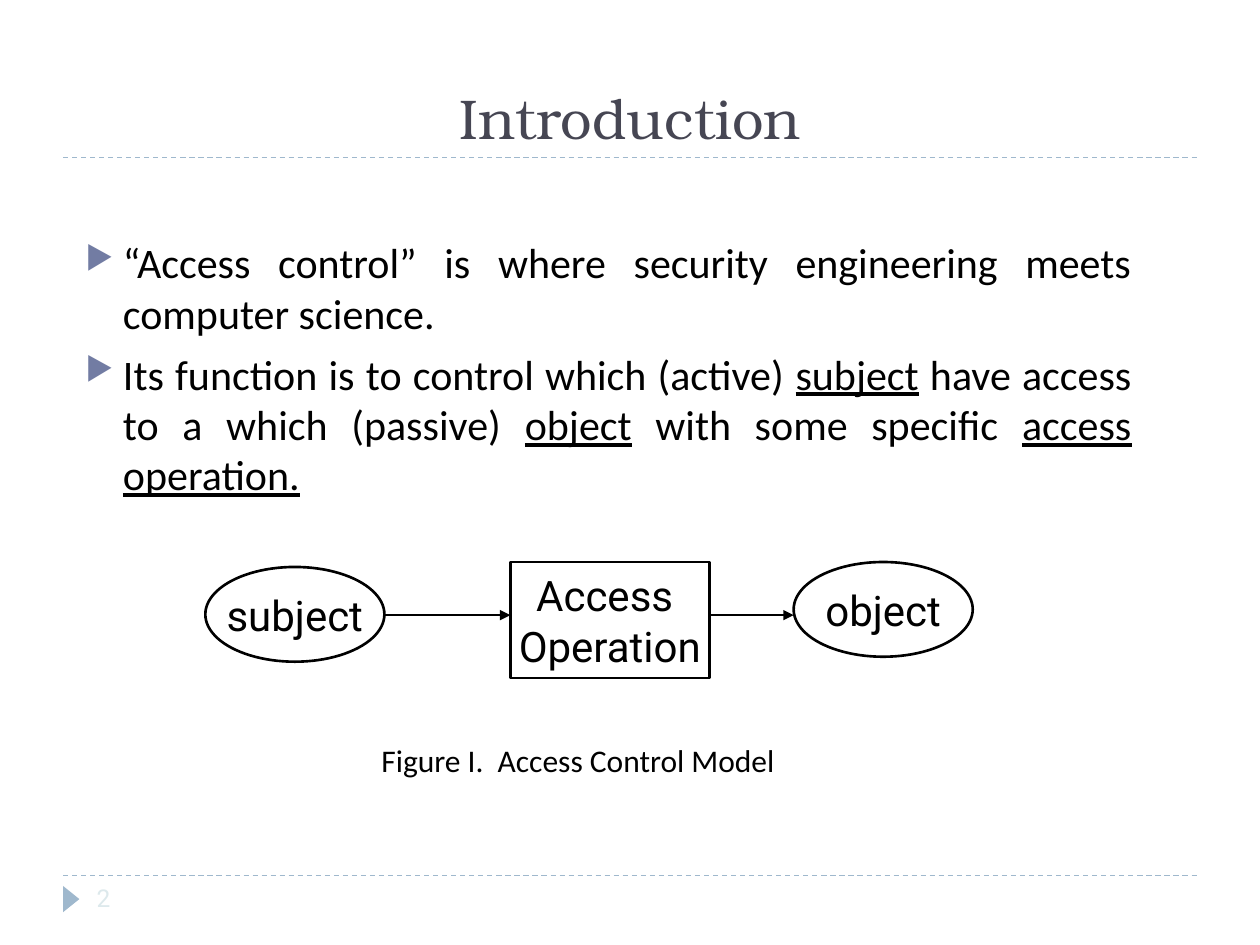
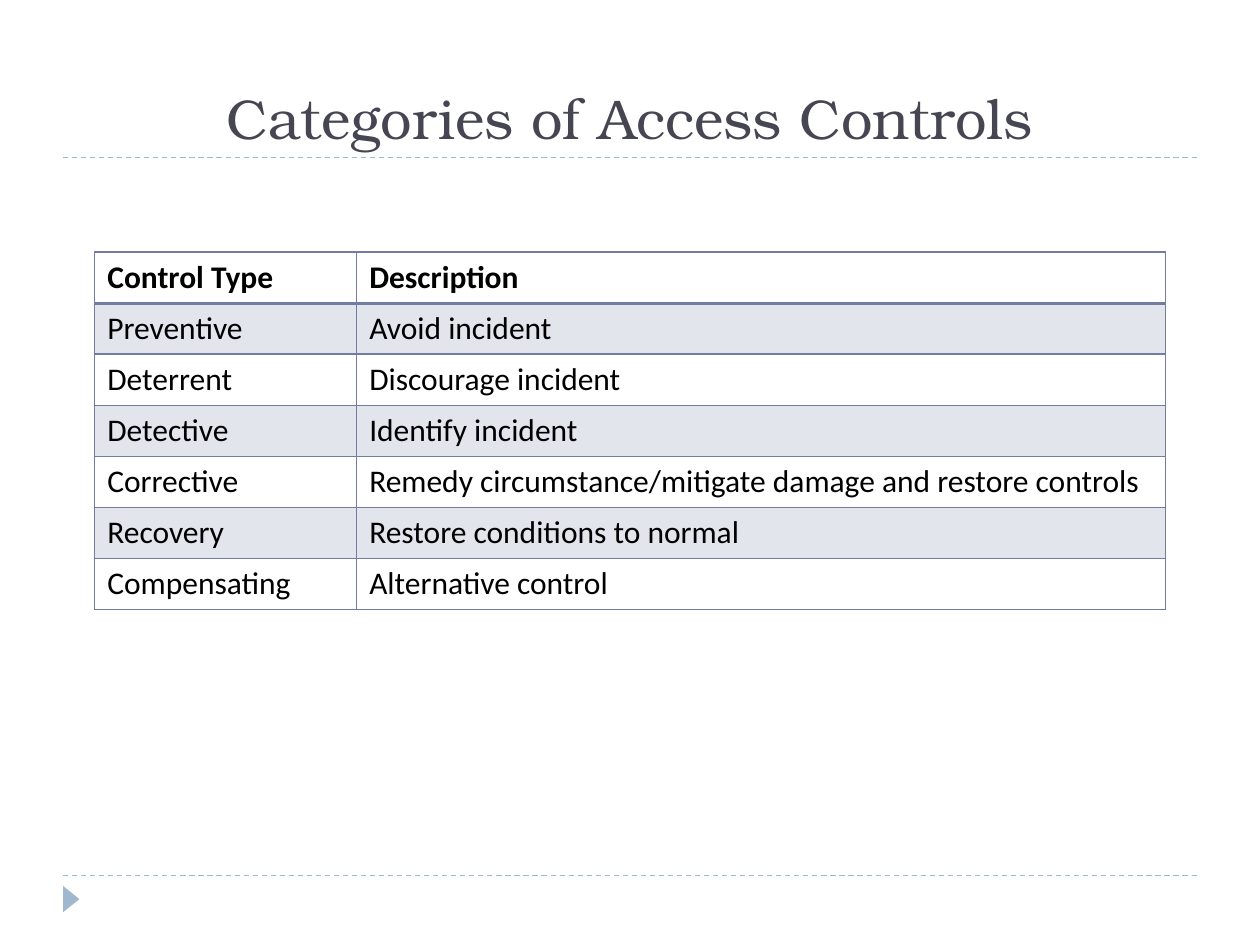
from lxml import etree
from pptx import Presentation, util as u
from pptx.dml.color import RGBColor
from pptx.enum import dml, shapes, text
from pptx.oxml import ns

COLORS = {
    "title": "464653",
    "text": "000000",
    "paper": "FFFFFF",
    "rule": "9FB8CD",
    "accent": "727CA3",
    "band": "E3E5ED",
    "number": "DDE9EC",
}
TITLE_FONT, BODY_FONT, DIAGRAM_FONT = "TeX Gyre Bonum", "Calibri", "Roboto"
CENTER, LEFT, JUSTIFY = text.PP_ALIGN.CENTER, text.PP_ALIGN.LEFT, text.PP_ALIGN.JUSTIFY
BOTTOM, MIDDLE, TOP = (text.MSO_ANCHOR.BOTTOM, text.MSO_ANCHOR.MIDDLE,
                       text.MSO_ANCHOR.TOP)

STATEMENTS = [
    [("“Access control” is where security engineering meets computer science.", False)],
    [("Its function is to control which (active) ", False), ("subject", True),
     (" have access to a which (passive) ", False), ("object", True),
     (" with some specific ", False), ("access operation.", True)],
]
CONTROLS = [
    ("Control Type", "Description"),
    ("Preventive", "Avoid incident"),
    ("Deterrent", "Discourage incident"),
    ("Detective", "Identify incident"),
    ("Corrective", "Remedy circumstance/mitigate damage and restore controls"),
    ("Recovery", "Restore conditions to normal"),
    ("Compensating", "Alternative control"),
]


def rgb(name):
    return RGBColor.from_string(COLORS[name])


def child(parent, tag, **attributes):
    return etree.SubElement(parent, ns.qn(tag), attributes)


def write(frame, paragraphs, size=18, font=BODY_FONT, color="text", bold=False,
          align=LEFT, anchor=TOP, wrap=True, bullets=False):
    """Fill a frame; a paragraph is a string or a list of (words, underlined)."""
    frame.word_wrap = wrap
    frame.vertical_anchor = anchor
    for index, content in enumerate(paragraphs):
        paragraph = frame.add_paragraph() if index else frame.paragraphs[0]
        paragraph.alignment = align
        if bullets:
            add_bullet(paragraph)
        runs = [(content, False)] if isinstance(content, str) else content
        for words, underlined in runs:
            run = paragraph.add_run()
            run.text = words
            run.font.size, run.font.name = u.Pt(size), font
            run.font.bold, run.font.underline = bold, underlined
            run.font.color.rgb = rgb(color)


def add_bullet(paragraph):
    paragraph.space_before = u.Pt(6)
    properties = paragraph._p.get_or_add_pPr()
    indent = u.Cm(0.76)
    properties.set("marL", str(indent))
    properties.set("indent", str(-indent))
    child(child(properties, "a:buClr"), "a:srgbClr", val=COLORS["accent"])
    child(properties, "a:buSzPct", val="76000")
    child(properties, "a:buChar", char="▶")


def add_text(slide, left, top, width, height, paragraphs, **style):
    box = slide.shapes.add_textbox(u.Cm(left), u.Cm(top), u.Cm(width), u.Cm(height))
    write(box.text_frame, paragraphs, **style)


def add_figure(slide, kind, left, top, width, height, fill="paper", outline=None):
    figure = slide.shapes.add_shape(kind, u.Cm(left), u.Cm(top), u.Cm(width), u.Cm(height))
    figure.shadow.inherit = False
    figure.fill.solid()
    figure.fill.fore_color.rgb = rgb(fill)
    if outline:
        figure.line.color.rgb = rgb(outline)
        figure.line.width = u.Pt(1.5)
    else:
        figure.line.fill.background()
    return figure


def add_node(slide, kind, left, top, width, height, label):
    node = add_figure(slide, kind, left, top, width, height, outline="text")
    write(node.text_frame, label, size=24, font=DIAGRAM_FONT,
          align=CENTER, anchor=MIDDLE, wrap=False)


def add_line(slide, start, end, y, color, dashed=False, arrow=False):
    line = slide.shapes.add_connector(shapes.MSO_CONNECTOR.STRAIGHT,
                                      u.Cm(start), u.Cm(y), u.Cm(end), u.Cm(y))
    line.line.color.rgb = rgb(color)
    line.line.width = u.Pt(0.75)
    if dashed:
        line.line.dash_style = dml.MSO_LINE.DASH
    if arrow:
        child(line.line._get_or_add_ln(), "a:tailEnd", type="triangle")
    child(line._element.spPr, "a:effectLst")


def add_border(cell, side, points):
    border = child(cell._tc.get_or_add_tcPr(), f"a:ln{side}", w=str(u.Pt(points)))
    child(child(border, "a:solidFill"), "a:srgbClr", val=COLORS["accent"])


def add_controls_table(slide, left, top, widths, row_height):
    table = slide.shapes.add_table(
        len(CONTROLS), len(widths), u.Cm(left), u.Cm(top),
        u.Cm(sum(widths)), u.Cm(row_height * len(CONTROLS))).table
    table.horz_banding = False
    for column, width in zip(table.columns, widths):
        column.width = u.Cm(width)
    for row, entries in enumerate(CONTROLS):
        table.rows[row].height = u.Cm(row_height)
        for column, entry in enumerate(entries):
            cell = table.cell(row, column)
            # The rule under the header is twice as thick
            for side in "LRTB":
                under_header = (row, side) in ((0, "B"), (1, "T"))
                add_border(cell, side, 2 if under_header else 1)
            if row % 2:
                cell.fill.solid()
                cell.fill.fore_color.rgb = rgb("band")
            else:
                cell.fill.background()
            write(cell.text_frame, [entry], bold=row == 0)


def add_slide(deck, title):
    """Blank slide with the shared rules, footer marker and title."""
    slide = deck.slides.add_slide(deck.slide_layouts[6])
    for y in (17.65, 3.18):
        add_line(slide, 1.27, 24.13, y, "rule", dashed=True)
    marker = add_figure(slide, shapes.MSO_SHAPE.ISOSCELES_TRIANGLE,
                        1.17, 17.96, 0.53, 0.33, fill="rule")
    marker.rotation = 90
    add_text(slide, 1.27, 0.43, 22.86, 2.74, [title], size=32, font=TITLE_FONT,
             color="title", align=CENTER, anchor=BOTTOM)
    return slide


def build_introduction(deck):
    slide = add_slide(deck, "Introduction")
    add_text(slide, 1.47, 4.65, 21.59, 6.15, STATEMENTS, size=24,
             align=JUSTIFY, bullets=True)

    # Access control model
    oval, box = shapes.MSO_SHAPE.OVAL, shapes.MSO_SHAPE.RECTANGLE
    subject_left, operation_left, object_left = 4.14, 10.29, 16
    oval_width, operation_width = 3.61, 4.01
    flow_y = 12.4
    add_node(slide, oval, subject_left, 11.43, oval_width, 1.91, ["subject"])
    add_line(slide, subject_left + oval_width, operation_left, flow_y, "text", arrow=True)
    add_node(slide, box, operation_left, 11.33, operation_width, 2.34,
             ["Access ", "Operation"])
    add_line(slide, operation_left + operation_width, object_left, flow_y, "text", arrow=True)
    add_node(slide, oval, object_left, 11.33, oval_width, 1.91, ["object"])
    add_text(slide, 5.51, 14.81, 12.29, 1.02, ["Figure I.  Access Control Model"],
             align=CENTER)

    # Slide number
    add_text(slide, 1.7, 17.7, 2, 0.8, ["2"], size=14, font=DIAGRAM_FONT,
             color="number", anchor=MIDDLE)


def build_categories(deck):
    slide = add_slide(deck, "Categories of Access Controls")
    add_controls_table(slide, 1.91, 5.08, (5.28, 16.31), 1.03)


def main():
    deck = Presentation()
    deck.slide_width, deck.slide_height = u.Cm(25.4), u.Cm(19.05)
    build_introduction(deck)
    build_categories(deck)
    deck.save("out.pptx")


if __name__ == "__main__":
    main()
